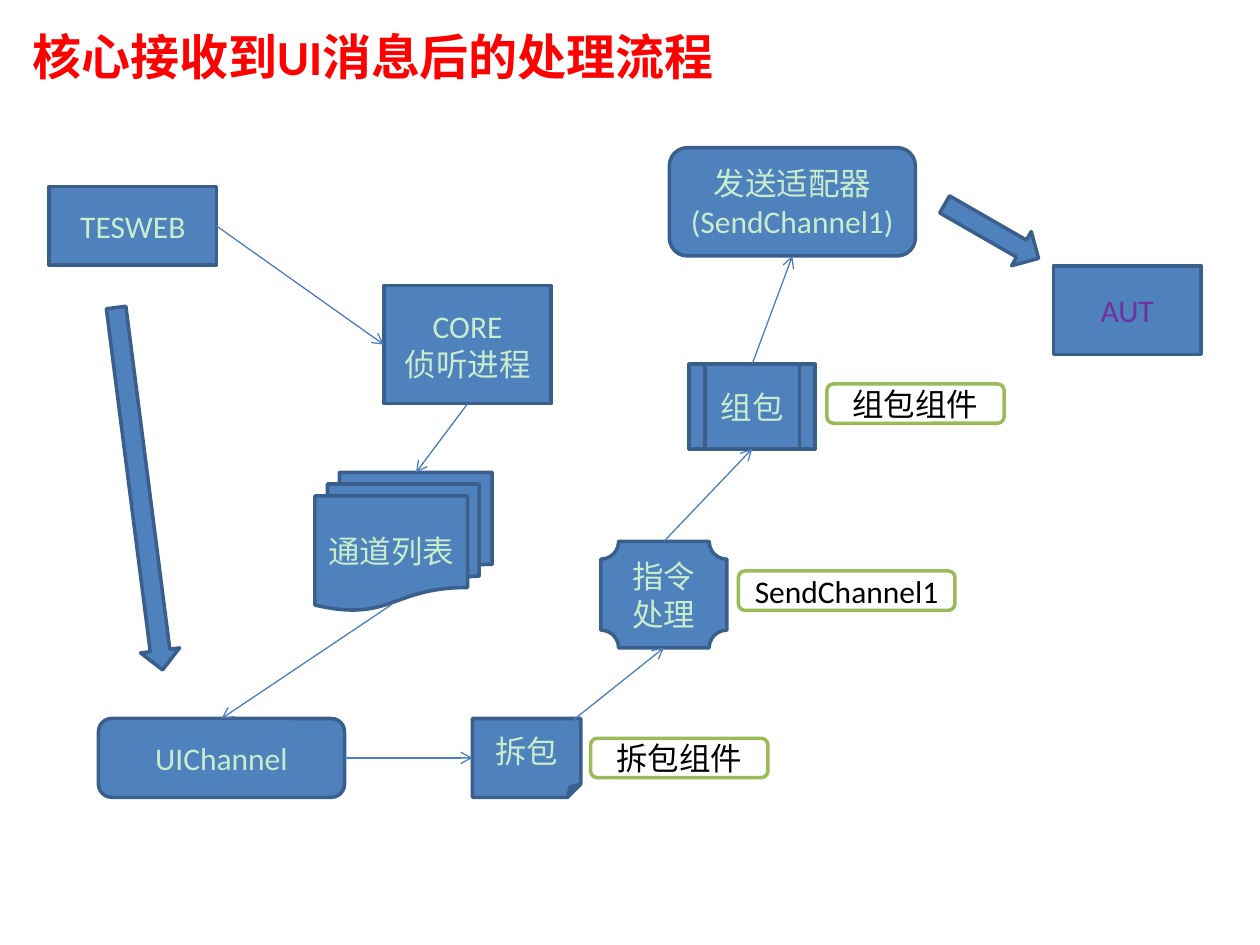
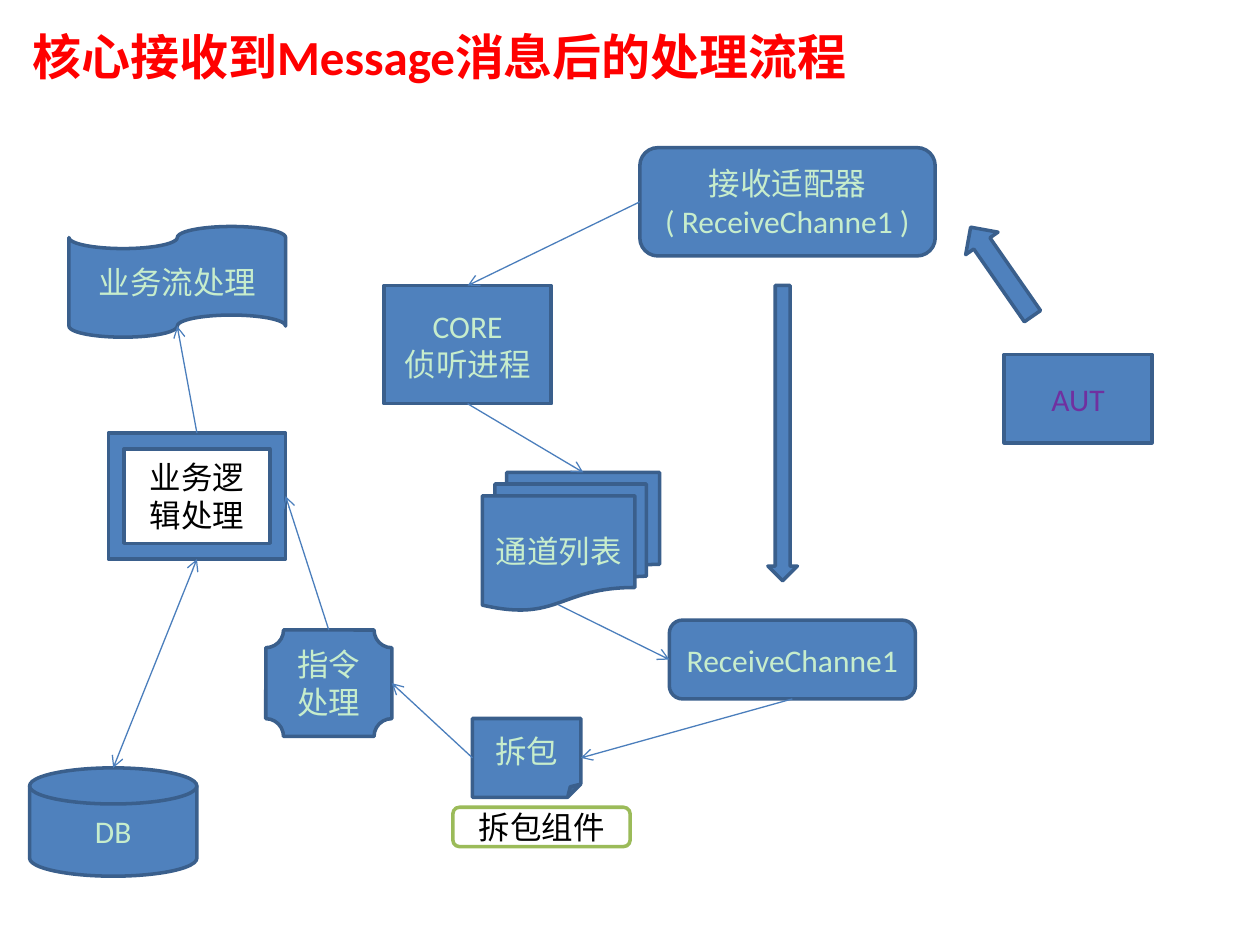
from lxml.etree import SubElement
from pptx import Presentation
from pptx.dml.color import RGBColor
from pptx.enum.shapes import MSO_CONNECTOR, MSO_SHAPE
from pptx.enum.text import MSO_ANCHOR, MSO_AUTO_SIZE, PP_ALIGN
from pptx.oxml.ns import qn
from pptx.util import Pt

FONT = "Calibri"
RED = RGBColor(0xFF, 0x00, 0x00)
BLUE = RGBColor(0x4F, 0x81, 0xBD)
DARK_BLUE = RGBColor(0x3A, 0x5F, 0x8C)
LINK_BLUE = RGBColor(0x4B, 0x7E, 0xBC)
PALE_GREEN = RGBColor(0xC7, 0xED, 0xCC)
GREEN = RGBColor(0x9B, 0xBB, 0x59)
PURPLE = RGBColor(0x70, 0x30, 0xA0)
BLACK = RGBColor(0x00, 0x00, 0x00)
WHITE = RGBColor(0xFF, 0xFF, 0xFF)

TOP, BOTTOM, LEFT, RIGHT = (0.5, 0), (0.5, 1), (0, 0.5), (1, 0.5)
LIST_TOP, LIST_BOTTOM = (0.57, 0), (0.43, 0.96)
TAPE_BOTTOM = (0.5, 0.9)
FOLDED_INSIDE = (0.72, 0.25)


def write(paragraph, text, size, color, bold=False):
    """Add one formatted run to a paragraph."""
    run = paragraph.add_run()
    run.text = text
    run.font.name = FONT
    run.font.size = Pt(size)
    run.font.bold = bold
    run.font.color.rgb = color


def add_title(slide, text, width):
    """Place the red heading at the top left."""
    heading = slide.shapes.add_textbox(Pt(11.5), Pt(11.5), Pt(width), Pt(41))
    frame = heading.text_frame
    frame.word_wrap = True
    frame.auto_size = MSO_AUTO_SIZE.SHAPE_TO_FIT_TEXT
    write(frame.paragraphs[0], text, 28, RED, bold=True)


def add_node(slide, preset, box, lines=(), color=PALE_GREEN, fill=BLUE, outline=DARK_BLUE):
    """Place one outlined shape with centred lines of text in its box."""
    node = slide.shapes.add_shape(preset, *map(Pt, box))
    node.shadow.inherit = False
    node.fill.solid()
    node.fill.fore_color.rgb = fill
    node.line.color.rgb = outline
    node.line.width = Pt(2)
    frame = node.text_frame
    frame.word_wrap = True
    frame.vertical_anchor = MSO_ANCHOR.MIDDLE
    for index, line in enumerate(lines):
        paragraph = frame.add_paragraph() if index else frame.paragraphs[0]
        paragraph.alignment = PP_ALIGN.CENTER
        write(paragraph, line, 18, color)
    return node


def add_tag(slide, left, top, text, width=101.3):
    """Place a green outlined label naming a component."""
    add_node(slide, MSO_SHAPE.ROUNDED_RECTANGLE, (left, top, width, 22.5),
             [text], BLACK, WHITE, GREEN)


def add_block_arrow(slide, preset, box, rotation=0):
    """Place a thick arrow turned by the given angle."""
    add_node(slide, preset, box).rotation = rotation


def add_link(slide, source, source_site, target, target_site, both=False):
    """Draw a thin arrow between relative sites on two nodes."""
    ends = []
    for node, (across, down) in ((source, source_site), (target, target_site)):
        ends += [int(node.left + across * node.width), int(node.top + down * node.height)]
    link = slide.shapes.add_connector(MSO_CONNECTOR.STRAIGHT, *ends)
    link.line.color.rgb = LINK_BLUE
    link.line.width = Pt(0.75)
    properties = link._element.spPr
    outline = properties.find(qn("a:ln"))
    for end in ("a:headEnd", "a:tailEnd") if both else ("a:tailEnd",):
        SubElement(outline, qn(end), type="arrow")
    SubElement(properties, qn("a:effectLst"))


def add_core(slide):
    """Place the listening process."""
    return add_node(slide, MSO_SHAPE.RECTANGLE, (219.4, 163.2, 95.6, 67.5), ["CORE", "侦听进程"])


def add_channel_list(slide, left):
    """Place the stack of channels."""
    return add_node(slide, MSO_SHAPE.FLOWCHART_MULTIDOCUMENT, (left, 270, 101.3, 78.8), ["通道列表"])


def add_unpacking(slide):
    """Place the unpacking step."""
    return add_node(slide, MSO_SHAPE.FOLDED_CORNER, (270, 410.6, 61.9, 45), ["拆包"])


def add_command(slide, left, top):
    """Place the command handling step."""
    return add_node(slide, MSO_SHAPE.PLAQUE, (left, top, 72, 60.8), ["指令处理"])


def add_channel(slide, left, top, name):
    """Place a rounded channel."""
    return add_node(slide, MSO_SHAPE.ROUNDED_RECTANGLE, (left, top, 140.6, 45), [name])


def add_adapter(slide, left, width, lines):
    """Place the rounded adapter at the top."""
    return add_node(slide, MSO_SHAPE.ROUNDED_RECTANGLE, (left, 84.4, width, 61.9), lines)


def add_aut(slide, left, top):
    """Place the application under test."""
    add_node(slide, MSO_SHAPE.RECTANGLE, (left, top, 84.4, 50.6), ["AUT"], PURPLE)


def build_ui_flow(slide):
    """Show how a UI message travels to the application."""
    add_title(slide, "核心接收到UI消息后的处理流程", 427.7)
    tesweb = add_node(slide, MSO_SHAPE.RECTANGLE, (28.1, 106.6, 95.6, 45), ["TESWEB"])
    core = add_core(slide)
    channels = add_channel_list(slide, 180)
    ui_channel = add_channel(slide, 56.3, 410.6, "UIChannel")
    unpacking = add_unpacking(slide)
    command = add_command(slide, 343.4, 309.4)
    adapter = add_adapter(slide, 382.5, 140.6, ["发送适配器", "(SendChannel1)"])
    packing = add_node(slide, MSO_SHAPE.FLOWCHART_PREDEFINED_PROCESS,
                       (393.8, 208.1, 72, 48.4), ["组包"])
    add_aut(slide, 601.9, 151.9)

    add_link(slide, tesweb, RIGHT, core, LEFT)
    add_link(slide, core, BOTTOM, channels, LIST_TOP)
    add_link(slide, channels, LIST_BOTTOM, ui_channel, TOP)
    add_link(slide, ui_channel, RIGHT, unpacking, LEFT)
    add_link(slide, unpacking, FOLDED_INSIDE, command, BOTTOM)
    add_link(slide, command, TOP, packing, BOTTOM)
    add_link(slide, packing, TOP, adapter, BOTTOM)

    add_tag(slide, 421.9, 326.3, "SendChannel1", 123.8)
    add_tag(slide, 472.5, 219.4, "组包组件")
    add_tag(slide, 337.5, 421.9, "拆包组件")
    add_block_arrow(slide, MSO_SHAPE.DOWN_ARROW, (68.4, 174.9, 22.5, 208.8), 352.7)
    add_block_arrow(slide, MSO_SHAPE.RIGHT_ARROW, (535.7, 121, 61.9, 22.5), 29.9)


def build_message_flow(slide):
    """Show how a message from the application is handled."""
    add_title(slide, "核心接收到Message消息后的处理流程", 483.8)
    core = add_core(slide)
    channels = add_channel_list(slide, 275.6)
    receiver = add_channel(slide, 382.5, 354.4, "ReceiveChanne1")
    unpacking = add_unpacking(slide)
    command = add_command(slide, 151.9, 360)
    adapter = add_adapter(slide, 365.6, 168.8, ["接收适配器", "( ReceiveChanne1 )"])
    add_aut(slide, 573.8, 202.5)
    workflow = add_node(slide, MSO_SHAPE.FLOWCHART_PUNCHED_TAPE,
                        (39.4, 129.4, 123.8, 63.3), ["业务流处理"])
    logic = add_node(slide, MSO_SHAPE.FRAME, (61.9, 247.5, 101.3, 72), ["业务逻辑处理"], BLACK)
    database = add_node(slide, MSO_SHAPE.FLOWCHART_MAGNETIC_DISK, (16.9, 438.8, 95.6, 61.9), ["DB"])

    add_link(slide, adapter, LEFT, core, TOP)
    add_link(slide, core, BOTTOM, channels, LIST_TOP)
    add_link(slide, channels, LIST_BOTTOM, receiver, LEFT)
    add_link(slide, receiver, BOTTOM, unpacking, RIGHT)
    add_link(slide, unpacking, LEFT, command, RIGHT)
    add_link(slide, command, TOP, logic, RIGHT)
    add_link(slide, logic, TOP, workflow, TAPE_BOTTOM)
    add_link(slide, database, TOP, logic, BOTTOM, both=True)

    add_tag(slide, 258.8, 461.3, "拆包组件")
    add_block_arrow(slide, MSO_SHAPE.RIGHT_ARROW, (541.4, 144, 61.9, 22.5), 235.2)
    add_block_arrow(slide, MSO_SHAPE.DOWN_ARROW, (438.8, 163.1, 16.9, 168.8))


def main():
    """Build both flow slides and save the presentation."""
    deck = Presentation()
    deck.slide_width, deck.slide_height = Pt(720), Pt(540)
    blank = deck.slide_layouts[6]
    for build in (build_ui_flow, build_message_flow):
        build(deck.slides.add_slide(blank))
    deck.save("out.pptx")


main()
